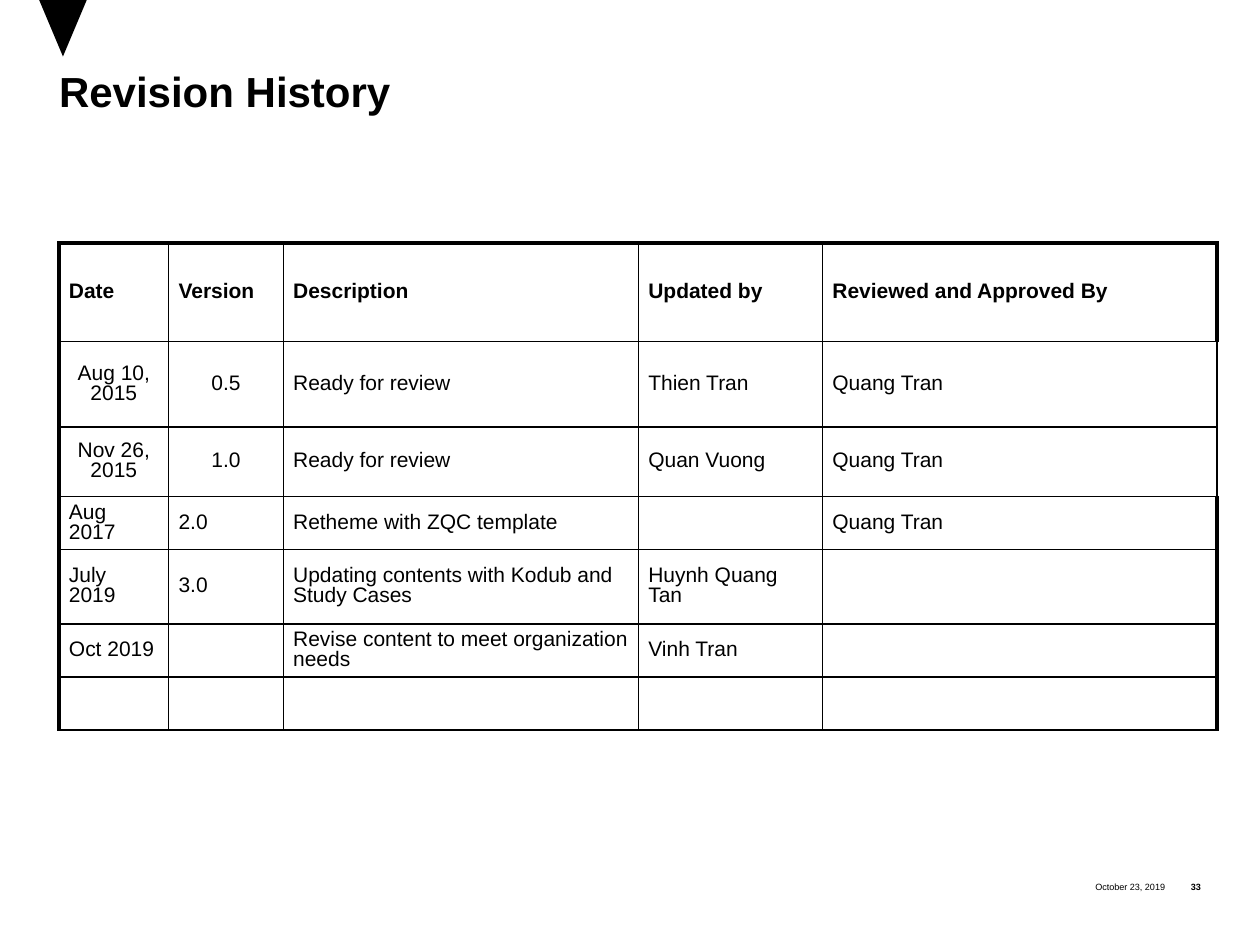
from dataclasses import dataclass

from lxml import etree
from pptx import Presentation
from pptx import util as u
from pptx.dml.color import RGBColor
from pptx.enum import text
from pptx.oxml import ns


@dataclass(frozen=True)
class Theme:
    ink: RGBColor = RGBColor(0, 0, 0)
    font: str = "Arial"
    title: float = 24
    body: float = 12
    footer: float = 5.2
    spacing: float = 0.85
    thin: float = 1
    thick: float = 2.25


@dataclass(frozen=True)
class Revision:
    date: str = ""
    version: str = ""
    description: str = ""
    updated_by: str = ""
    approved_by: str = ""
    height: float = 1.07
    centred: bool = False
    thick_right: bool = True

    def cells(self) -> tuple[str, ...]:
        return (self.date, self.version, self.description,
                self.updated_by, self.approved_by)


@dataclass(frozen=True)
class Footer:
    content: str
    left: float
    width: float
    bold: bool = False


THEME = Theme()
COLUMNS = (2.21, 2.31, 7.16, 3.71, 7.95)
REVISIONS = (
    Revision("Date", "Version", "Description", "Updated by",
             "Reviewed and Approved By", height=1.98),
    Revision("Aug 10, 2015", "0.5", "Ready for review", "Thien Tran", "Quang Tran",
             height=1.73, centred=True, thick_right=False),
    Revision("Nov 26, 2015", "1.0", "Ready for review", "Quan Vuong", "Quang Tran",
             height=1.4, centred=True, thick_right=False),
    Revision("Aug 2017", "2.0", "Retheme with ZQC template", "", "Quang Tran"),
    Revision("July 2019", "3.0", "Updating contents with Kodub and Study Cases",
             "Huynh Quang Tan", height=1.5),
    Revision("Oct 2019", "", "Revise content to meet organization needs", "Vinh Tran"),
    Revision(),
)
FOOTERS = (
    Footer("October 23, 2019", 20.65, 2.84),
    Footer("33", 23.5, 0.71, bold=True),
)


def style(p, size: float, bold: bool = False,
          align=text.PP_ALIGN.LEFT, spacing: float = 1) -> None:
    p.alignment, p.line_spacing = align, spacing
    f = p.font
    f.name, f.size, f.bold = THEME.font, u.Pt(size), bold
    f.color.rgb = THEME.ink


def clear_margins(tf) -> None:
    tf.margin_left = tf.margin_right = tf.margin_top = tf.margin_bottom = 0
    tf.word_wrap = True


def add_marker(s) -> None:
    fb = s.shapes.build_freeform(u.Cm(0.79), 0)
    fb.add_line_segments([(u.Cm(1.27), u.Cm(1.14)), (u.Cm(1.75), 0)])
    sp = fb.convert_to_shape()
    sp.shadow.inherit = False
    sp.fill.solid()
    sp.fill.fore_color.rgb = THEME.ink
    sp.line.fill.background()


def set_title(s, content: str) -> None:
    sp = s.shapes.title
    sp.left, sp.top, sp.width, sp.height = map(u.Cm, (1.19, 1.47, 23.01, 3.28))
    tf = sp.text_frame
    clear_margins(tf)
    tf.auto_size = text.MSO_AUTO_SIZE.NONE
    tf.vertical_anchor = text.MSO_ANCHOR.TOP
    tf.text = content
    style(tf.paragraphs[0], THEME.title, bold=True, spacing=THEME.spacing)


def add_footer(s, footer: Footer) -> None:
    sp = s.shapes.add_textbox(*map(u.Cm, (footer.left, 17.55, footer.width, 0.64)))
    tf = sp.text_frame
    clear_margins(tf)
    tf.vertical_anchor = text.MSO_ANCHOR.MIDDLE
    tf.text = footer.content
    style(tf.paragraphs[0], THEME.footer, footer.bold, text.PP_ALIGN.RIGHT)


def set_borders(cell, widths: dict[str, float]) -> None:
    tcPr = cell._tc.get_or_add_tcPr()
    for side, width in widths.items():
        ln = etree.SubElement(tcPr, ns.qn(f"a:ln{side}"), w=str(u.Pt(width)))
        fill = etree.SubElement(ln, ns.qn("a:solidFill"))
        etree.SubElement(fill, ns.qn("a:srgbClr"), val=str(THEME.ink))


def add_revision_table(s) -> None:
    table = s.shapes.add_table(
        len(REVISIONS), len(COLUMNS), u.Cm(1.19), u.Cm(4.9), u.Cm(sum(COLUMNS)),
        u.Cm(sum(rev.height for rev in REVISIONS))).table
    table.first_row = table.horz_banding = False
    for column, width in zip(table.columns, COLUMNS):
        column.width = u.Cm(width)

    last = len(COLUMNS) - 1
    for i, rev in enumerate(REVISIONS):
        table.rows[i].height = u.Cm(rev.height)
        for j, content in enumerate(rev.cells()):
            cell = table.cell(i, j)
            cell.margin_left = cell.margin_right = u.Cm(0.2)
            cell.margin_top = cell.margin_bottom = u.Cm(0.1)
            cell.vertical_anchor = text.MSO_ANCHOR.MIDDLE
            cell.text = content
            centred = rev.centred and j < 2
            style(cell.text_frame.paragraphs[0], THEME.body, bold=i == 0,
                  align=text.PP_ALIGN.CENTER if centred else text.PP_ALIGN.LEFT,
                  spacing=THEME.spacing)
            # Heavy outer frame, open at the bottom
            heavy = {"L": j == 0, "R": j == last and rev.thick_right,
                     "T": i == 0, "B": False}
            set_borders(cell, {side: THEME.thick if on else THEME.thin
                               for side, on in heavy.items()})
            cell.fill.background()


def main() -> None:
    prs = Presentation()
    prs.slide_width, prs.slide_height = u.Cm(25.4), u.Cm(19.05)
    s = prs.slides.add_slide(prs.slide_layouts[5])  # title only

    # Page furniture
    add_marker(s)
    for footer in FOOTERS:
        add_footer(s, footer)

    # Content
    set_title(s, "Revision History")
    add_revision_table(s)
    prs.save("out.pptx")


if __name__ == "__main__":
    main()
